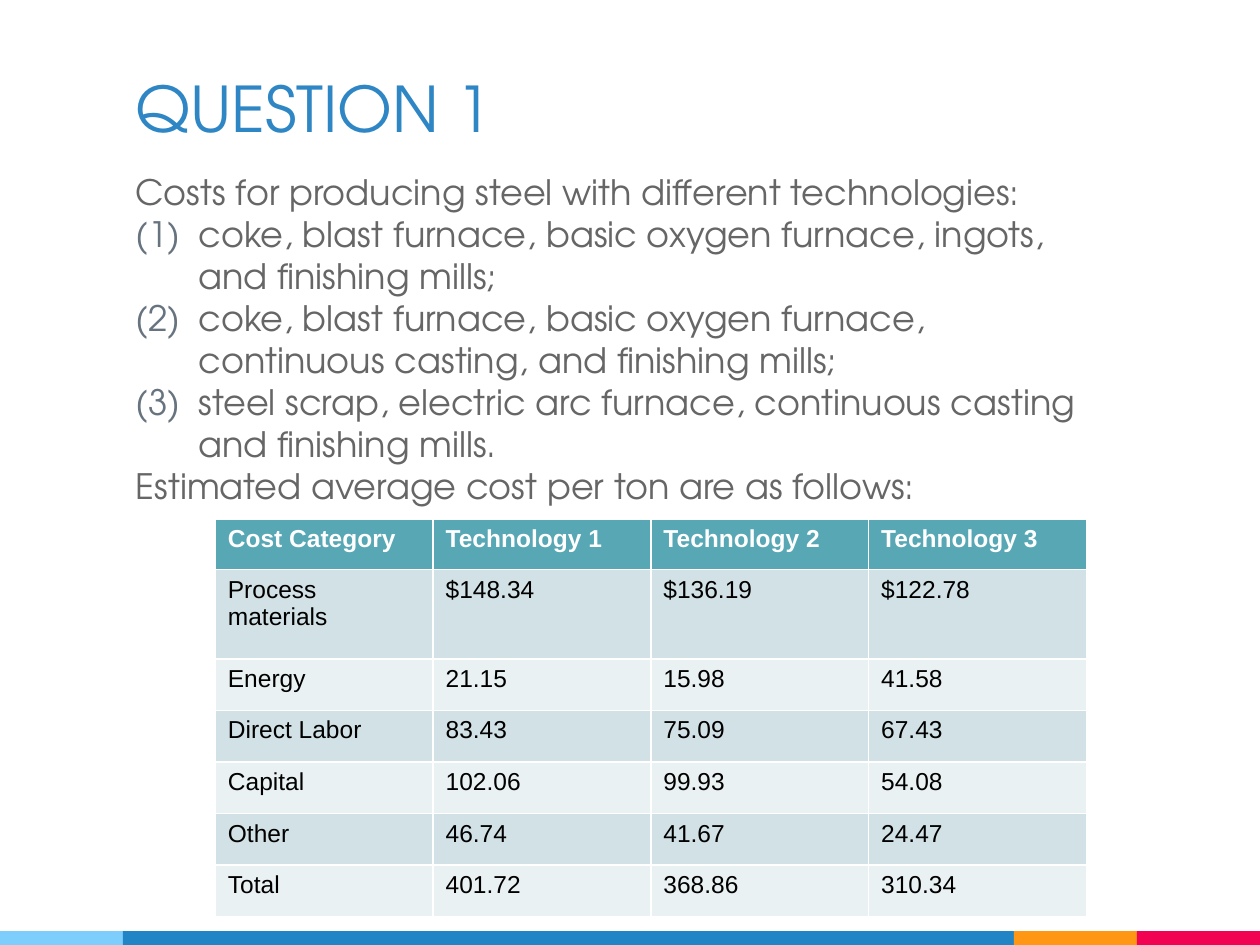
"""Build the steel cost question slide with its numbered list and cost table."""
from lxml import etree
from pptx import Presentation, util as u
from pptx.dml.color import RGBColor
from pptx.enum import shapes, text
from pptx.oxml import ns

LIGHT_BLUE = RGBColor(0x7E, 0xCE, 0xFD)
BLUE = RGBColor(0x21, 0x85, 0xC5)
ORANGE = RGBColor(0xFF, 0x97, 0x15)
RED = RGBColor(0xF2, 0x02, 0x53)
TITLE_BLUE = RGBColor(0x2F, 0x86, 0xC6 - 1)
GREY = RGBColor(0x66, 0x66, 0x66)
NUMBER_GREY = RGBColor(0x67, 0x74, 0x80)
TEAL = RGBColor(0x57, 0xA7, 0xB5)
BAND_DARK = RGBColor(0xD1, 0xE1, 0xE5)
BAND_LIGHT = RGBColor(0xEA, 0xF1, 0xF3)
WHITE = RGBColor(0xFF, 0xFF, 0xFF)
BLACK = RGBColor(0, 0, 0)
DISPLAY_FONT = "TeX Gyre Adventor"
TABLE_FONT = "Arial"

TITLE = "QUESTION 1"
INTRO = "Costs for producing steel with different technologies:"
TECHNOLOGIES = [
    "coke, blast furnace, basic oxygen furnace, ingots, and finishing mills;",
    "coke, blast furnace, basic oxygen furnace, continuous casting, and finishing mills;",
    "steel scrap, electric arc furnace, continuous casting and finishing mills.",
]
LEAD_IN = "Estimated average cost per ton are as follows:"
COSTS = [
    ("Cost Category", "Technology 1", "Technology 2", "Technology 3"),
    ("Process materials", "$148.34", "$136.19", "$122.78"),
    ("Energy", "21.15", "15.98", "41.58"),
    ("Direct Labor", "83.43", "75.09", "67.43"),
    ("Capital", "102.06", "99.93", "54.08"),
    ("Other", "46.74", "41.67", "24.47"),
    ("Total", "401.72", "368.86", "310.34"),
]
ROW_HEIGHTS = [1.02, 1.8] + [1.04] * 5
COLUMN_WIDTH = 4.39
STRIPES = [(LIGHT_BLUE, 2.48), (BLUE, 17.96), (ORANGE, 2.48), (RED, 2.48)]
STRIPE_TOP, STRIPE_HEIGHT = 18.77, 0.28


def write(paragraph, words, size, color, font=DISPLAY_FONT, bold=False, numbered=False):
    paragraph.alignment = text.PP_ALIGN.LEFT
    paragraph.space_before = u.Pt(0)
    layout = paragraph._p.get_or_add_pPr()
    indent = u.Cm(1.27) if numbered else 0
    layout.set("marL", str(indent))
    layout.set("indent", str(-indent))
    if numbered:
        tint = etree.SubElement(layout, ns.qn("a:buClr"))
        etree.SubElement(tint, ns.qn("a:srgbClr"), val=str(NUMBER_GREY))
        etree.SubElement(layout, ns.qn("a:buAutoNum"), type="arabicParenBoth")
    else:
        etree.SubElement(layout, ns.qn("a:buNone"))
    run = paragraph.add_run()
    run.text = words
    run.font.name = font
    run.font.size = u.Pt(size)
    run.font.bold = bold
    run.font.color.rgb = color


def place(holder, left, top, width, height, anchor):
    holder.left, holder.top = u.Cm(left), u.Cm(top)
    holder.width, holder.height = u.Cm(width), u.Cm(height)
    frame = holder.text_frame
    frame.word_wrap = True
    frame.auto_size = text.MSO_AUTO_SIZE.NONE
    frame.vertical_anchor = anchor
    frame.margin_left = frame.margin_right = u.Cm(0.25)
    frame.margin_top = frame.margin_bottom = u.Cm(0.25)
    return frame


def add_stripes(slide):
    left = 0
    for color, width in STRIPES:
        stripe = slide.shapes.add_shape(
            shapes.MSO_SHAPE.RECTANGLE,
            u.Cm(left), u.Cm(STRIPE_TOP), u.Cm(width), u.Cm(STRIPE_HEIGHT))
        stripe.shadow.inherit = False
        stripe.fill.solid()
        stripe.fill.fore_color.rgb = color
        stripe.line.fill.background()
        left += width


def add_costs(slide):
    columns = len(COSTS[0])
    costs = slide.shapes.add_table(
        len(COSTS), columns, u.Cm(4.34), u.Cm(10.46),
        u.Cm(COLUMN_WIDTH * columns), u.Cm(sum(ROW_HEIGHTS))).table
    for column in costs.columns:
        column.width = u.Cm(COLUMN_WIDTH)
    for index, (values, height) in enumerate(zip(COSTS, ROW_HEIGHTS)):
        header = index == 0
        band = TEAL if header else (BAND_LIGHT, BAND_DARK)[index % 2]
        costs.rows[index].height = u.Cm(height)
        for cell, value in zip(costs.rows[index].cells, values):
            cell.fill.solid()
            cell.fill.fore_color.rgb = band
            write(cell.text_frame.paragraphs[0], value, 14,
                  WHITE if header else BLACK, font=TABLE_FONT, bold=header)


def main():
    deck = Presentation()
    deck.slide_width, deck.slide_height = u.Cm(25.4), u.Cm(19.05)
    slide = deck.slides.add_slide(deck.slide_layouts[1])
    add_stripes(slide)

    title = place(slide.shapes.title, 2.48, 0, 17.96, 3.18, text.MSO_ANCHOR.BOTTOM)
    write(title.paragraphs[0], TITLE, 36, TITLE_BLUE)

    body = place(slide.placeholders[1], 2.48, 3.18, 20.24, 13.16, text.MSO_ANCHOR.TOP)
    write(body.paragraphs[0], INTRO, 20, GREY)
    for technology in TECHNOLOGIES:
        write(body.add_paragraph(), technology, 20, GREY, numbered=True)
    write(body.add_paragraph(), LEAD_IN, 20, GREY)

    add_costs(slide)
    deck.save("out.pptx")


if __name__ == "__main__":
    main()
